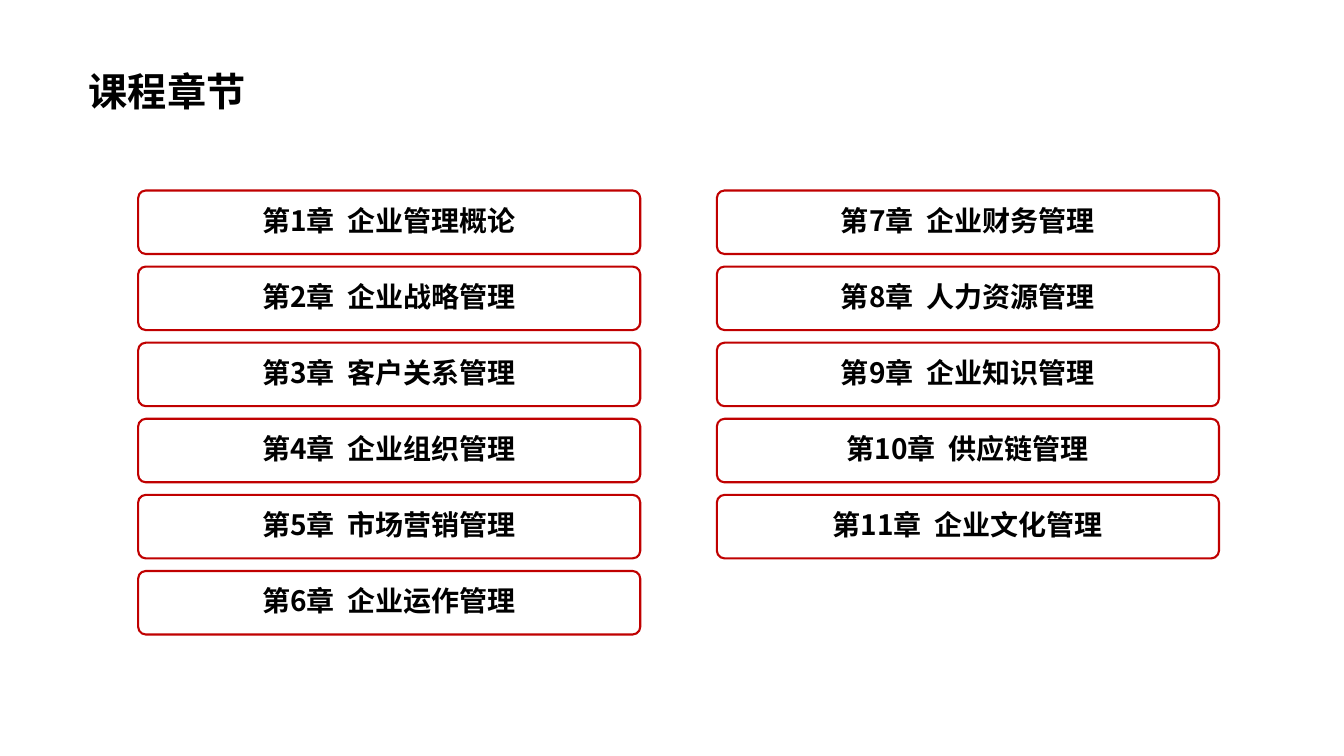
from dataclasses import dataclass

from lxml.etree import SubElement
from pptx import Presentation
from pptx.dml.color import RGBColor
from pptx.enum.shapes import MSO_SHAPE
from pptx.enum.text import MSO_ANCHOR, MSO_AUTO_SIZE, PP_ALIGN
from pptx.oxml.ns import qn
from pptx.slide import Slide
from pptx.text.text import TextFrame
from pptx.util import Inches, Length, Pt


@dataclass(frozen=True)
class Theme:
    font: str = "Noto Sans CJK SC"
    ink: RGBColor = RGBColor(0x00, 0x00, 0x00)
    border: RGBColor = RGBColor(0xC0, 0x00, 0x00)
    border_width: Length = Pt(1.5)
    title_size: Length = Pt(28)
    chapter_size: Length = Pt(20)


@dataclass(frozen=True)
class Chapter:
    number: int
    subject: str
    left: float
    top: float

    @property
    def label(self) -> str:
        return f"第{self.number}章  {self.subject}"


THEME = Theme()
SUBJECTS = [
    "企业管理概论", "企业战略管理", "客户关系管理", "企业组织管理",
    "市场营销管理", "企业运作管理", "企业财务管理", "人力资源管理",
    "企业知识管理", "供应链管理", "企业文化管理",
]
ROWS = 6
GRID_LEFT, GRID_TOP = 1.37, 1.89
COLUMN_STEP, ROW_STEP = 5.74, 0.755
BOX_WIDTH, BOX_HEIGHT = 4.98, 0.63
CORNER = 0.12

TITLE_FRAME = {
    "word_wrap": True,
    "auto_size": MSO_AUTO_SIZE.NONE,
    "vertical_anchor": MSO_ANCHOR.MIDDLE,
    "margin_left": Inches(0.14),
    "margin_right": Inches(0.14),
}
TITLE_PARAGRAPH = {"alignment": PP_ALIGN.JUSTIFY}
CHAPTER_FRAME = {
    "word_wrap": True,
    "vertical_anchor": MSO_ANCHOR.MIDDLE,
    **{f"margin_{side}": Inches(0.03) for side in ("left", "top", "right", "bottom")},
}
CHAPTER_PARAGRAPH = {
    "alignment": PP_ALIGN.CENTER,
    "line_spacing": 0.9,
    "space_after": Pt(7),
}


def apply_format(target: object, values: dict) -> None:
    for name, value in values.items():
        setattr(target, name, value)


def write_text(frame: TextFrame, text: str, size: Length,
               frame_format: dict, paragraph_format: dict) -> None:
    """Fill the frame with one bold line, in the theme font for Latin and Chinese."""
    apply_format(frame, frame_format)
    paragraph = frame.paragraphs[0]
    apply_format(paragraph, paragraph_format)
    run = paragraph.add_run()
    run.text = text
    apply_format(run.font, {"name": THEME.font, "size": size, "bold": True})
    run.font.color.rgb = THEME.ink
    SubElement(run._r.get_or_add_rPr(), qn("a:ea"), typeface=THEME.font)


def add_title(slide: Slide, text: str) -> None:
    title = slide.shapes.title
    apply_format(title, {"left": Inches(0.74), "top": Inches(0.48),
                         "width": Inches(2.43), "height": Inches(0.85)})
    write_text(title.text_frame, text, THEME.title_size, TITLE_FRAME, TITLE_PARAGRAPH)


def add_chapter(slide: Slide, chapter: Chapter) -> None:
    box = slide.shapes.add_shape(
        MSO_SHAPE.ROUNDED_RECTANGLE, Inches(chapter.left), Inches(chapter.top),
        Inches(BOX_WIDTH), Inches(BOX_HEIGHT))
    box.adjustments[0] = CORNER
    box.shadow.inherit = False
    box.fill.background()
    box.line.color.rgb = THEME.border
    box.line.width = THEME.border_width
    write_text(box.text_frame, chapter.label, THEME.chapter_size,
               CHAPTER_FRAME, CHAPTER_PARAGRAPH)


def lay_out_chapters() -> list[Chapter]:
    """Place the chapters down the first column, then down the second."""
    chapters = []
    for index, subject in enumerate(SUBJECTS):
        column, row = divmod(index, ROWS)
        chapters.append(Chapter(index + 1, subject,
                                GRID_LEFT + column * COLUMN_STEP,
                                GRID_TOP + row * ROW_STEP))
    return chapters


def main() -> None:
    deck = Presentation()
    deck.slide_width, deck.slide_height = Inches(13.33), Inches(7.5)
    slide = deck.slides.add_slide(deck.slide_layouts.get_by_name("Title Only"))
    add_title(slide, "课程章节")
    for chapter in lay_out_chapters():
        add_chapter(slide, chapter)
    deck.save("out.pptx")


if __name__ == "__main__":
    main()
